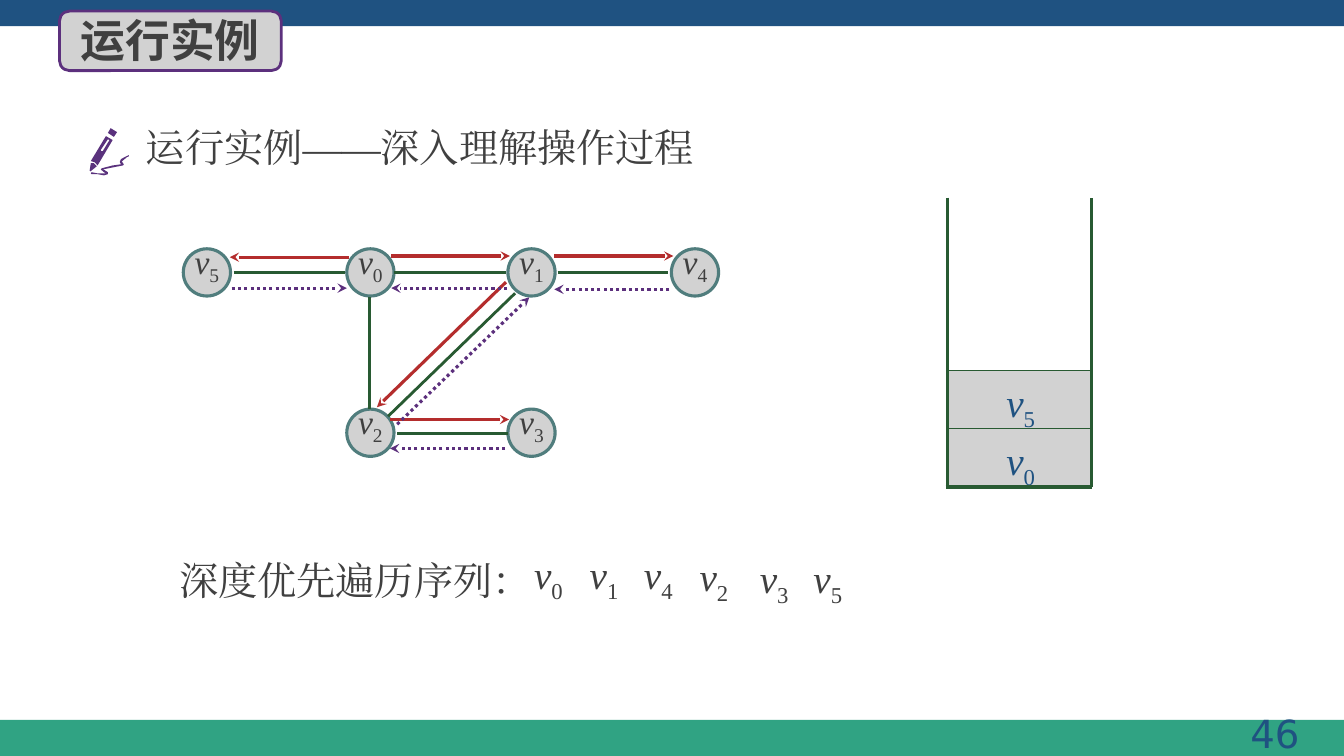
from lxml import etree
from pptx import Presentation
from pptx.dml.color import RGBColor
from pptx.enum.dml import MSO_LINE
from pptx.enum.shapes import MSO_CONNECTOR, MSO_SHAPE
from pptx.enum.text import MSO_ANCHOR, PP_ALIGN
from pptx.oxml.ns import qn
from pptx.util import Cm, Pt

WHITE = RGBColor(0xFF, 0xFF, 0xFF)
BLUE = RGBColor(0x1F, 0x52, 0x81)
TEAL = RGBColor(0x30, 0xA3, 0x83)
GREY = RGBColor(0xD2, 0xD2, 0xD2)
RING = RGBColor(0x50, 0x7D, 0x7D)
GREEN = RGBColor(0x28, 0x5A, 0x32)
RED = RGBColor(0xB4, 0x2D, 0x2D)
PURPLE = RGBColor(0x5C, 0x30, 0x7D)
PEN = RGBColor(0x5A, 0x32, 0x7D)
INK = RGBColor(0x40, 0x40, 0x40)

SERIF = "Times New Roman"
BODY = {"name": SERIF, "size": Pt(28)}
NODE_TEXT = {"name": SERIF, "size": Pt(24)}
TITLE = {"name": "Noto Sans CJK SC", "size": Pt(32), "bold": True}
PAGE_NUMBER = {"name": "DejaVu Sans", "size": Pt(27.6)}

# Graph, in cm
NODE_SIZE = 1.19
TOP_ROW, LOW_ROW = 6.27, 10.31
NODES = {"5": (4.62, TOP_ROW), "0": (8.74, TOP_ROW), "1": (12.8, TOP_ROW),
         "4": (16.92, TOP_ROW), "2": (8.74, LOW_ROW), "3": (12.8, LOW_ROW)}
EDGES = [(5.89, 6.86, 8.69, 6.86), (9.93, 6.86, 12.75, 6.86),
         (14.05, 6.86, 16.84, 6.86), (10.01, 10.92, 12.8, 10.92),
         (9.32, 7.49, 9.32, 10.31), (12.98, 7.39, 9.78, 10.49)]
VISITS = [(9.86, 6.45, 12.85, 6.45), (13.97, 6.45, 16.97, 6.45),
          (12.75, 7.11, 9.5, 10.26), (9.83, 10.57, 12.83, 10.57),
          (8.79, 6.48, 5.79, 6.48)]
RETURNS = [(16.87, 7.29, 13.97, 7.29), (12.73, 11.3, 9.83, 11.3),
           (10.01, 10.69, 13.34, 7.49), (12.78, 7.26, 9.86, 7.26),
           (5.84, 7.26, 8.74, 7.26)]

# Stack, in cm
STACK_LEFT, STACK_RIGHT, STACK_BOTTOM = 23.88, 27.51, 12.27
CELL_HEIGHT = 1.47
STACK = ["0", "5"]

SEQUENCE = [("0", 13.41, 13.84), ("1", 14.81, 13.84), ("4", 16.18, 13.84),
            ("2", 17.58, 13.89), ("3", 19.1, 13.94), ("5", 20.45, 13.94)]

# Pen icon: contours of each part, in hundredths of a cm
PEN_PARTS = [
    [[(287, 345), (295, 333), (279, 323), (272, 335)]],
    [[(244, 419), (236, 411), (229, 411), (226, 430), (228, 432)]],
    [[(246, 417), (284, 353), (267, 343), (229, 406), (239, 409)],
     [(254, 378), (272, 351), (276, 353), (259, 381), (255, 381)]],
    [[(325, 391), (318, 394), (305, 401), (302, 408), (305, 414), (284, 417),
      (257, 424), (254, 427), (262, 434), (267, 437), (246, 437), (231, 434),
      (229, 437), (231, 439), (246, 439), (262, 442), (272, 439), (272, 434),
      (264, 429), (259, 427), (284, 422), (310, 417), (312, 414), (307, 407),
      (320, 396), (325, 394)]],
]


def set_values(target, values):
    for name, value in values.items():
        setattr(target, name, value)


def add_span(para, text, font, color, italic=False, baseline=None):
    span = para.add_run()
    span.text = text
    set_values(span.font, font)
    span.font.italic = italic
    span.font.color.rgb = color
    properties = span._r.get_or_add_rPr()
    etree.SubElement(properties, qn("a:ea")).set("typeface", font["name"])
    if baseline:
        properties.set("baseline", baseline)


def add_vertex(para, index, font, color):
    add_span(para, "v", font, color, italic=True)
    add_span(para, index, font, color, baseline="-25000")


def add_box(page, left, top, width, height, margins=(0.25, 0.13)):
    box = page.shapes.add_textbox(Cm(left), Cm(top), Cm(width), Cm(height))
    across, down = (Cm(margin) for margin in margins)
    set_values(box.text_frame, {
        "word_wrap": True, "margin_left": across, "margin_right": across,
        "margin_top": down, "margin_bottom": down})
    return box.text_frame.paragraphs[0]


def paint(shape, fill, line=None, width=0):
    shape.shadow.inherit = False
    shape.fill.solid()
    shape.fill.fore_color.rgb = fill
    if line is None:
        shape.line.fill.background()
    else:
        shape.line.color.rgb = line
        shape.line.width = Pt(width)


def add_block(page, kind, place, fill, line=None, width=0):
    shape = page.shapes.add_shape(kind, *(Cm(length) for length in place))
    paint(shape, fill, line, width)
    return shape


def add_line(page, ends, color, width, dash=None, arrow=False):
    line = page.shapes.add_connector(
        MSO_CONNECTOR.STRAIGHT, *(Cm(length) for length in ends))
    line.line.color.rgb = color
    line.line.width = Pt(width)
    if dash:
        line.line.dash_style = dash
    if arrow:
        outline = line.line._get_or_add_ln()
        etree.SubElement(outline, qn("a:tailEnd")).set("type", "stealth")
    etree.SubElement(line._element.spPr, qn("a:effectLst"))


def add_node(page, index, left, top):
    node = add_block(page, MSO_SHAPE.OVAL, (left, top, NODE_SIZE, NODE_SIZE),
                     GREY, RING, 2.25)
    set_values(node.text_frame, {
        "margin_left": 0, "margin_right": 0, "margin_top": 0,
        "margin_bottom": 0, "vertical_anchor": MSO_ANCHOR.TOP})
    para = node.text_frame.paragraphs[0]
    set_values(para, {"alignment": PP_ALIGN.CENTER, "line_spacing": Pt(22)})
    add_vertex(para, index, NODE_TEXT, INK)


def add_cell(page, level, index):
    top = STACK_BOTTOM - (level + 1) * CELL_HEIGHT
    place = (STACK_LEFT, top, STACK_RIGHT - STACK_LEFT, CELL_HEIGHT)
    cell = add_block(page, MSO_SHAPE.RECTANGLE, place, GREY, GREEN, 0.75)
    set_values(cell.text_frame, {
        "margin_left": Cm(1.48), "margin_top": Cm(0.2),
        "margin_bottom": 0, "vertical_anchor": MSO_ANCHOR.TOP})
    para = cell.text_frame.paragraphs[0]
    para.alignment = PP_ALIGN.LEFT
    add_vertex(para, index, BODY, BLUE)


def add_pen_part(page, contours):
    builder = None
    for start, *rest in contours:
        if builder is None:
            builder = page.shapes.build_freeform(*start, scale=Cm(0.01))
        else:
            builder.move_to(*start)
        builder.add_line_segments(rest, close=True)
    paint(builder.convert_to_shape(), PEN)


def main():
    deck = Presentation()
    deck.slide_width, deck.slide_height = Cm(33.87), Cm(19.05)
    page = deck.slides.add_slide(deck.slide_layouts[6])
    page.background.fill.solid()
    page.background.fill.fore_color.rgb = WHITE

    # Bars and page number
    add_block(page, MSO_SHAPE.RECTANGLE, (0, 18.14, 33.87, 0.91), TEAL)
    add_block(page, MSO_SHAPE.RECTANGLE, (0, 0, 33.87, 0.66), BLUE)
    para = add_box(page, 25.53, 17.75, 7.47, 1.45)
    para.alignment = PP_ALIGN.RIGHT
    add_span(para, "46", PAGE_NUMBER, BLUE)

    # Title
    add_block(page, MSO_SHAPE.ROUNDED_RECTANGLE, (1.5, 0.28, 5.59, 1.5),
              GREY, PURPLE, 2)
    add_span(add_box(page, 1.78, 0.18, 5.51, 1.63), "运行实例", TITLE, INK)

    # Heading with pen icon
    add_span(add_box(page, 3.43, 2.97, 23.67, 1.45),
             "运行实例——深入理解操作过程", BODY, INK)
    for contours in PEN_PARTS:
        add_pen_part(page, contours)

    # Graph and its traversal
    for index, (left, top) in NODES.items():
        add_node(page, index, left, top)
    for ends in EDGES:
        add_line(page, ends, GREEN, 2)
    for ends in VISITS:
        add_line(page, ends, RED, 2.25, arrow=True)
    for ends in RETURNS:
        add_line(page, ends, PURPLE, 2.25, MSO_LINE.ROUND_DOT, arrow=True)

    # Stack
    for level, index in enumerate(STACK):
        add_cell(page, level, index)
    for ends in [(STACK_LEFT, 4.98, STACK_LEFT, STACK_BOTTOM),
                 (STACK_RIGHT, 5, STACK_RIGHT, STACK_BOTTOM),
                 (STACK_LEFT - 0.05, STACK_BOTTOM, STACK_RIGHT, STACK_BOTTOM)]:
        add_line(page, ends, GREEN, 2.25)

    # Visiting order
    add_span(add_box(page, 4.27, 13.89, 10.26, 1.45),
             "深度优先遍历序列：", BODY, INK)
    for index, left, top in SEQUENCE:
        para = add_box(page, left, top, 1.57, 1.27, margins=(0.05, 0.03))
        add_vertex(para, index, BODY, INK)

    deck.save("out.pptx")


if __name__ == "__main__":
    main()
